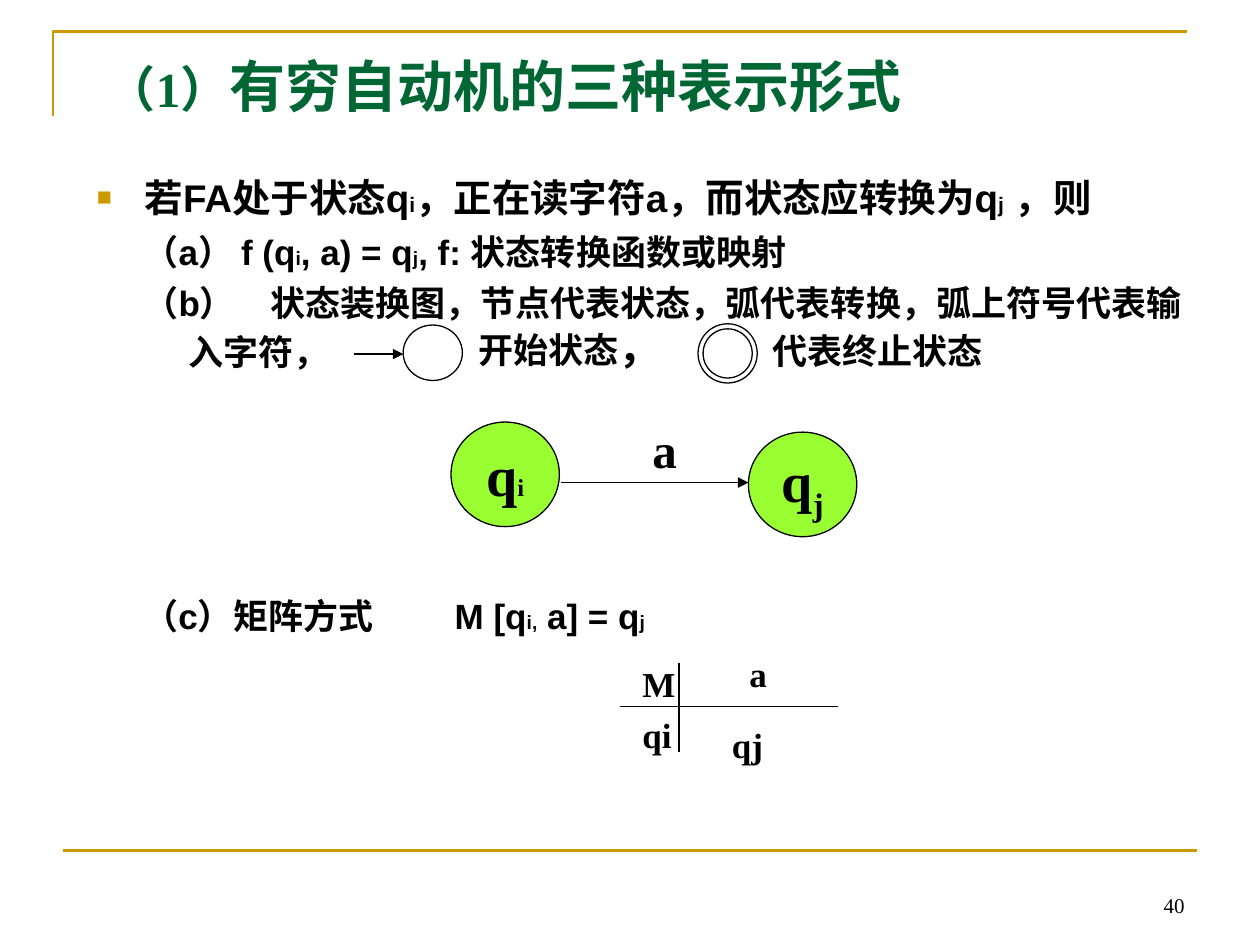
from lxml import etree
from pptx import Presentation
from pptx.dml.color import RGBColor
from pptx.enum import shapes, text
from pptx.oxml.ns import qn
from pptx.util import Inches, Pt

GOLD = RGBColor(0xCC, 0x99, 0x00)
GREEN = RGBColor(0x00, 0x66, 0x33)
LIME = RGBColor(0x99, 0xFF, 0x33)
BLACK = RGBColor(0, 0, 0)
WHITE = RGBColor(0xFF, 0xFF, 0xFF)
SERIF, SANS = "Times New Roman", "Arial"


def write(para, parts, font=SERIF, color=BLACK, bold=True):
    """Fill a paragraph from (wording, size) pairs."""
    for words, size in parts:
        run = para.add_run()
        run.text = words
        run.font.name = font
        run.font.size = Pt(size)
        run.font.bold = bold
        run.font.color.rgb = color


def add_text(slide, place, parts, wrap=False, **style):
    box = slide.shapes.add_textbox(*map(Inches, place))
    box.text_frame.word_wrap = wrap
    write(box.text_frame.paragraphs[0], parts, **style)
    return box.text_frame


def add_row(slide, left, top, width, parts):
    """Add one line in the style of the body."""
    frame = add_text(slide, (left, top, width, 0.49), parts, True, font=SANS)
    frame.paragraphs[0].line_spacing = Pt(28)


def add_line(slide, start, end, color=BLACK, width=0.75, arrow=False):
    line = slide.shapes.add_connector(
        shapes.MSO_CONNECTOR.STRAIGHT, *map(Inches, start + end))
    line.line.color.rgb = color
    line.line.width = Pt(width)
    props = line._element.spPr
    if arrow:
        etree.SubElement(props.find(qn("a:ln")), qn("a:tailEnd"), type="triangle")
    etree.SubElement(props, qn("a:effectLst"))


def add_oval(slide, place, fill=WHITE):
    oval = slide.shapes.add_shape(shapes.MSO_SHAPE.OVAL, *map(Inches, place))
    oval.shadow.inherit = False
    oval.fill.solid()
    oval.fill.fore_color.rgb = fill
    oval.line.color.rgb = BLACK
    oval.line.width = Pt(0.75)
    return oval


def add_state(slide, left, top, parts):
    frame = add_oval(slide, (left, top, 0.86, 0.83), LIME).text_frame
    frame.word_wrap = False
    frame.vertical_anchor = text.MSO_ANCHOR.MIDDLE
    para = frame.paragraphs[0]
    para.alignment = text.PP_ALIGN.CENTER
    write(para, parts)
    return para


def add_frame(slide):
    """Add the gold corner and the gold rule at the foot."""
    path = slide.shapes.build_freeform(Inches(0.42), Inches(0.92))
    path.add_line_segments(
        [(Inches(0.42), Inches(0.25)), (Inches(9.42), Inches(0.25))], close=False)
    corner = path.convert_to_shape()
    corner.shadow.inherit = False
    corner.fill.background()
    corner.line.color.rgb = GOLD
    corner.line.width = Pt(1.5)
    add_line(slide, (0.5, 6.75), (9.5, 6.75), GOLD, 1.5)


def indent(para, left, hang):
    props = para._p.get_or_add_pPr()
    props.set("marL", str(Inches(left)))
    props.set("indent", str(-Inches(hang)))
    return props


def add_bullet(props):
    color = etree.SubElement(props, qn("a:buClr"))
    etree.SubElement(color, qn("a:srgbClr"), val=str(GOLD))
    etree.SubElement(props, qn("a:buSzPct"), val="65000")
    etree.SubElement(props, qn("a:buFont"), typeface=SANS)
    etree.SubElement(props, qn("a:buChar"), char="■")


def add_body(slide):
    head = [("若FA处于状态q", 22), ("i", 12), ("，正在读字符a，而状态应转换为q", 22),
            ("j", 12), (" ，则", 22)]
    items = [
        ([("（a） f (q", 20), ("i", 11), (", a) = q", 20), ("j", 11),
          (", f: 状态转换函数或映射", 20)], 2),
        ([("（b）　状态装换图，节点代表状态，弧代表转换，弧上符号代表输入字符，", 20)], 1),
    ]
    frame = add_text(slide, (0.67, 1.31, 8.99, 1.75), head, True, font=SANS)
    first = frame.paragraphs[0]
    first.line_spacing = Pt(28)
    add_bullet(indent(first, 0.38, 0.38))
    for parts, gap in items:
        para = frame.add_paragraph()
        para.line_spacing = Pt(28)
        para.space_before = Pt(gap)
        indent(para, 0.73, 0.36)
        write(para, parts, font=SANS)


def add_legend(slide):
    """Add the signs for start and final states."""
    add_oval(slide, (3.2, 2.58, 0.47, 0.44))
    add_line(slide, (2.81, 2.81), (3.2, 2.81), arrow=True)
    add_row(slide, 3.7, 2.51, 1.8, [("开始状态", 20), ("，", 24)])
    add_oval(slide, (5.54, 2.57, 0.47, 0.47))
    add_oval(slide, (5.58, 2.61, 0.39, 0.39))
    add_row(slide, 6.03, 2.51, 2.2, [("代表终止状态", 20)])


def add_graph(slide):
    add_state(slide, 3.58, 3.35, [("q", 32), ("i", 14)])
    goal = add_state(slide, 5.94, 3.43, [("q", 32), ("j", 32)])
    goal.runs[1].font._element.set("baseline", "-25000")
    add_line(slide, (4.45, 3.83), (5.94, 3.83), arrow=True)
    add_text(slide, (5.08, 3.28, 0.39, 0.57), [("a", 28)])


def add_matrix(slide):
    add_row(slide, 1.04, 4.61, 2.3, [("（c）矩阵方式", 20)])
    add_row(slide, 3.51, 4.61, 2.2, [("M [q", 20), ("i,", 11), (" a] = q", 20), ("j", 11)])
    add_line(slide, (5.39, 5.26), (5.39, 5.97))
    add_line(slide, (4.92, 5.61), (6.65, 5.61))
    cells = [("M", 5, 5.21, 0.46), ("a", 5.85, 5.13, 0.34),
             ("qi", 5, 5.61, 0.43), ("qj", 5.71, 5.69, 0.45)]
    for words, left, top, width in cells:
        add_text(slide, (left, top, width, 0.44), [(words, 20)])


def main():
    deck = Presentation()
    deck.slide_width, deck.slide_height = Inches(10), Inches(7.5)
    slide = deck.slides.add_slide(deck.slide_layouts[6])
    add_frame(slide)
    add_body(slide)
    add_legend(slide)
    add_graph(slide)
    add_matrix(slide)
    add_text(slide, (0.75, 0.36, 7.4, 0.64),
             [("（1）", 28), ("有穷自动机的三种表示形式", 32)], True, color=GREEN)
    page = add_text(slide, (7.17, 6.83, 2.33, 0.5), [("40", 12)], True, bold=False)
    page.vertical_anchor = text.MSO_ANCHOR.BOTTOM
    page.paragraphs[0].alignment = text.PP_ALIGN.RIGHT
    deck.save("out.pptx")


if __name__ == "__main__":
    main()
